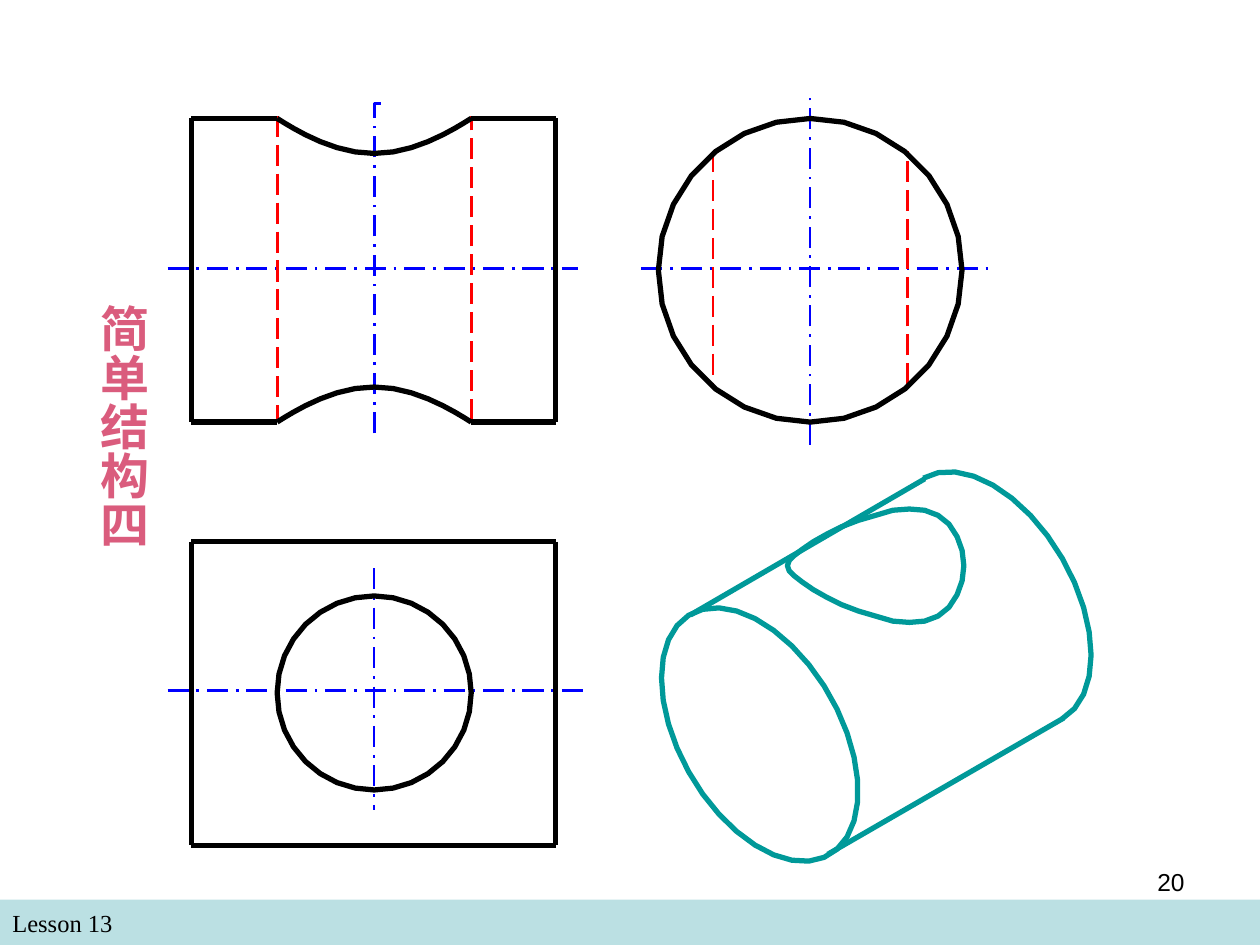
from dataclasses import dataclass
from math import cos, radians, sin, sqrt

from lxml.etree import SubElement
from pptx import Presentation
from pptx.dml.color import RGBColor
from pptx.enum.dml import MSO_LINE
from pptx.enum.shapes import MSO_CONNECTOR, MSO_SHAPE
from pptx.enum.text import PP_ALIGN
from pptx.oxml.ns import qn
from pptx.util import Inches, Pt

BLACK = RGBColor(0x00, 0x00, 0x00)
BLUE = RGBColor(0x00, 0x00, 0xFF)
RED = RGBColor(0xFF, 0x00, 0x00)
TEAL = RGBColor(0x00, 0x99, 0x99)
PINK = RGBColor(0xDA, 0x5C, 0x7D)
BAND = RGBColor(0xBB, 0xE0, 0xE3)

Point = tuple[float, float]

LEFT, RIGHT = 1.52, 4.41
TOP, BOTTOM = 0.94, 3.35
PLAN_TOP, PLAN_BOTTOM = 4.3, 6.71
FRONT_X, SIDE_X = 2.97, 6.43
AXIS_Y, PLAN_Y = (TOP + BOTTOM) / 2, 5.5
RADIUS, HOLE_RADIUS = (BOTTOM - TOP) / 2, 0.77
HOLE_LEFT, HOLE_RIGHT = 2.2, 3.74
HOLE_RISE = [0, 0.12, 0.23, 0.33, 0.4, 0.44, 0.45, 0.44, 0.4,
             0.36, 0.31, 0.25, 0.19, 0.13, 0.08, 0.04, 0]


@dataclass(frozen=True)
class Pen:
    color: RGBColor
    width: float
    dash: MSO_LINE | None = None


OUTLINE = Pen(BLACK, 3)
CENTRE = Pen(BLUE, 1.5, MSO_LINE.LONG_DASH_DOT)
HIDDEN = Pen(RED, 1.5, MSO_LINE.LONG_DASH)
PICTORIAL = Pen(TEAL, 3)


@dataclass(frozen=True)
class Segment:
    start: Point
    end: Point
    pen: Pen


def apply_pen(line, pen: Pen) -> None:
    line.color.rgb = pen.color
    line.width = Pt(pen.width)
    if pen.dash is not None:
        line.dash_style = pen.dash


def draw_segment(shapes, segment: Segment) -> None:
    ends = [Inches(value) for value in segment.start + segment.end]
    connector = shapes.add_connector(MSO_CONNECTOR.STRAIGHT, *ends)
    apply_pen(connector.line, segment.pen)
    SubElement(connector._element.spPr, qn("a:effectLst"))


def draw_curve(shapes, points: list[Point], pen: Pen, close: bool = False) -> None:
    corners = [(Inches(x), Inches(y)) for x, y in points]
    builder = shapes.build_freeform(*corners[0])
    builder.add_line_segments(corners[1:], close=close)
    shape = builder.convert_to_shape()
    shape.shadow.inherit = False
    shape.fill.background()
    apply_pen(shape.line, pen)


def circle(center: Point, radius: float, sides: int) -> list[Point]:
    angles = [radians(360 * step / sides) for step in range(sides)]
    return [(center[0] + radius * cos(angle), center[1] + radius * sin(angle))
            for angle in angles]


def cylinder_end(center: Point, degrees: list[float]) -> list[Point]:
    angles = [radians(degree) for degree in degrees]
    return [(center[0] - 0.78 * cos(angle),
             center[1] - 0.45 * cos(angle) + 0.9 * sin(angle)) for angle in angles]


def intersection(side: int) -> list[Point]:
    angles = [radians(180 * step / 16) for step in range(17)]
    return [(FRONT_X + HOLE_RADIUS * cos(angle),
             AXIS_Y + side * sqrt(RADIUS ** 2 - (HOLE_RADIUS * sin(angle)) ** 2))
            for angle in angles]


def pictorial_hole() -> list[Point]:
    rises = HOLE_RISE + [-rise for rise in HOLE_RISE[-2:0:-1]]
    return [(6.95 + 0.7 * cos(radians(11.25 * step)), 4.49 + rise)
            for step, rise in enumerate(rises)]


def add_text(slide, text: str, left: float, top: float, width: float, height: float, *,
             size: float = 14, font: str = "Arial", color: RGBColor = BLACK,
             bold: bool = False, align: PP_ALIGN = PP_ALIGN.LEFT,
             vertical: bool = False) -> None:
    box = slide.shapes.add_textbox(Inches(left), Inches(top), Inches(width), Inches(height))
    frame = box.text_frame
    frame.word_wrap = True
    side, end = (0.05, 1.66) if vertical else (0.1, 0.05)
    frame.margin_left = frame.margin_right = Inches(side)
    frame.margin_top = frame.margin_bottom = Inches(end)
    if vertical:
        frame._txBody.bodyPr.set("vert", "eaVert")
    paragraph = frame.paragraphs[0]
    paragraph.alignment = align
    run = paragraph.add_run()
    run.text = text
    run.font.name = font
    run.font.size = Pt(size)
    run.font.bold = bold
    run.font.color.rgb = color


def draw_views(shapes) -> None:
    segments = [
        Segment((1.33, 2.13), (4.59, 2.13), CENTRE),
        Segment((1.33, 5.48), (4.66, 5.48), CENTRE),
        Segment((FRONT_X, 4.51), (FRONT_X, 6.43), CENTRE),
        Segment((5.09, 2.13), (7.84, 2.13), CENTRE),
        Segment((SIDE_X, 3.53), (SIDE_X, 0.75), CENTRE),
        Segment((HOLE_RIGHT, 3.33), (HOLE_RIGHT, 0.92), HIDDEN),
        Segment((HOLE_LEFT, 0.92), (HOLE_LEFT, 3.33), HIDDEN),
        Segment((7.2, 3.05), (7.2, 1.2), HIDDEN),
        Segment((5.66, 1.2), (5.66, 3.05), HIDDEN),
    ]
    for upper, lower in ((TOP, BOTTOM), (PLAN_TOP, PLAN_BOTTOM)):
        for x in (RIGHT, LEFT):
            segments.append(Segment((x, upper), (x, lower), OUTLINE))
    for y in (TOP, BOTTOM):
        segments.append(Segment((LEFT, y), (HOLE_LEFT, y), OUTLINE))
        segments.append(Segment((HOLE_RIGHT, y), (RIGHT, y), OUTLINE))
    for y in (PLAN_TOP, PLAN_BOTTOM):
        segments.append(Segment((LEFT, y), (RIGHT, y), OUTLINE))
    draw_curve(shapes, [(FRONT_X, 3.44), (FRONT_X, 0.82), (3.06, 0.82)], CENTRE)
    for segment in segments:
        draw_segment(shapes, segment)
    for side in (-1, 1):
        draw_curve(shapes, intersection(side), OUTLINE)
    draw_curve(shapes, circle((FRONT_X, PLAN_Y), HOLE_RADIUS, 32), OUTLINE, close=True)
    draw_curve(shapes, circle((SIDE_X, AXIS_Y), RADIUS, 28), OUTLINE, close=True)


def draw_cylinder(shapes) -> None:
    back_arc = cylinder_end((7.88, 4.75), [135 + 11.25 * step for step in range(17)])
    front_end = cylinder_end((6.03, 5.83), [360 * step / 33 for step in range(33)])
    draw_curve(shapes, back_arc, PICTORIAL)
    draw_curve(shapes, front_end, PICTORIAL, close=True)
    draw_curve(shapes, pictorial_hole(), PICTORIAL, close=True)
    draw_segment(shapes, Segment((6.57, 6.78), (8.44, 5.7), PICTORIAL))
    draw_segment(shapes, Segment((7.34, 3.8), (5.48, 4.88), PICTORIAL))


def main() -> None:
    presentation = Presentation()
    presentation.slide_width = Inches(10)
    presentation.slide_height = Inches(7.5)
    slide = presentation.slides.add_slide(presentation.slide_layouts[6])
    band = slide.shapes.add_shape(
        MSO_SHAPE.RECTANGLE, 0, Inches(7.14), Inches(10), Inches(0.36))
    band.shadow.inherit = False
    band.fill.solid()
    band.fill.fore_color.rgb = BAND
    band.line.fill.background()
    add_text(slide, "Lesson 13", 0, 7.16, 4.83, 0.34, font="Times New Roman")
    draw_views(slide.shapes.add_group_shape().shapes)
    draw_cylinder(slide.shapes.add_group_shape().shapes)
    add_text(slide, "简单结构四", 0.6, 0.76, 0.66, 5.28, size=28, color=PINK,
             bold=True, vertical=True)
    add_text(slide, "20", 7.17, 6.83, 2.33, 0.52, align=PP_ALIGN.RIGHT)
    presentation.save("out.pptx")


if __name__ == "__main__":
    main()
